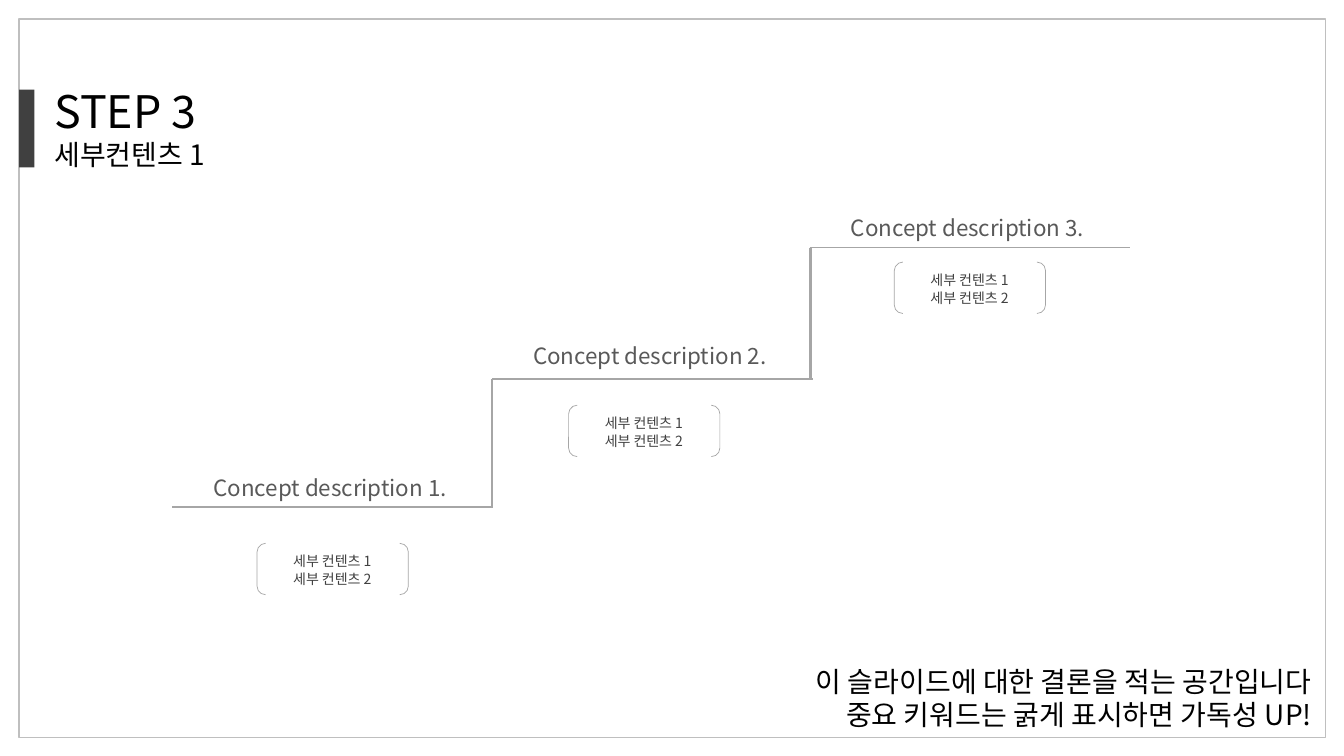
from dataclasses import dataclass

from lxml.etree import SubElement
from pptx import Presentation
from pptx.dml.color import RGBColor
from pptx.enum.shapes import MSO_CONNECTOR, MSO_SHAPE
from pptx.enum.text import MSO_AUTO_SIZE, PP_ALIGN
from pptx.oxml import parse_xml
from pptx.oxml.ns import nsdecls, qn
from pptx.slide import Slide
from pptx.util import Emu, Pt

EMU_PER_PX = 9144  # 100 px to the inch


@dataclass(frozen=True)
class Theme:
    font: str = "Noto Sans CJK KR"
    black: str = "000000"
    dark: str = "404040"
    label: str = "595959"
    stair: str = "A6A6A6"
    frame: str = "BFBFBF"
    title_size: int = 32
    subtitle_size: int = 20
    label_size: int = 16
    detail_size: int = 10


@dataclass(frozen=True)
class Box:
    left: int
    top: int
    width: int
    height: int

    def emu(self) -> tuple[Emu, ...]:
        return tuple(map(px, (self.left, self.top, self.width, self.height)))


@dataclass(frozen=True)
class Line:
    text: str
    size: int


@dataclass(frozen=True)
class Step:
    label: str
    label_left: int
    label_top: int
    tread_left: int
    tread_top: int
    bracket_left: int
    bracket_top: int


@dataclass(frozen=True)
class Riser:
    left: int
    top: int
    bottom: int


THEME = Theme()
TREAD_WIDTH = 318
DETAILS = ("세부 컨텐츠 1", "세부 컨텐츠 2")
STEPS = (
    Step("Concept description 1.", 112, 465, 171, 503, 255, 539),
    Step("Concept description 2.", 429, 335, 488, 376, 564, 402),
    Step("Concept description 3.", 744, 208, 803, 246, 887, 260),
)
RISERS = (Riser(488, 376, 503), Riser(804, 246, 377))


def px(length: int) -> Emu:
    return Emu(length * EMU_PER_PX)


def color(value: str) -> RGBColor:
    return RGBColor.from_string(value)


def add_text(slide: Slide, box: Box, lines: list[Line], *, ink: str,
             opacity: int, align: PP_ALIGN = PP_ALIGN.LEFT,
             wrap: bool = True) -> None:
    frame = slide.shapes.add_textbox(*box.emu()).text_frame
    frame.word_wrap = wrap
    frame.auto_size = MSO_AUTO_SIZE.SHAPE_TO_FIT_TEXT
    for index, line in enumerate(lines):
        paragraph = frame.add_paragraph() if index else frame.paragraphs[0]
        paragraph.alignment = align
        run = paragraph.add_run()
        run.text = line.text
        run.font.size = Pt(line.size)
        run.font.name = THEME.font
        run.font.color.rgb = color(ink)
        # East Asian typeface and translucent letter outline
        properties = run._r.get_or_add_rPr()
        SubElement(properties, qn("a:ea"), typeface=THEME.font)
        properties.insert(0, parse_xml(
            f'<a:ln {nsdecls("a")} w="9525"><a:solidFill><a:srgbClr val="{ink}">'
            f'<a:alpha val="{opacity * 1000}"/></a:srgbClr></a:solidFill></a:ln>'))


def add_box(slide: Slide, kind: MSO_SHAPE, box: Box, *, fill: str | None = None,
            line: str | None = None, weight: float = 1) -> None:
    shape = slide.shapes.add_shape(kind, *box.emu())
    shape.shadow.inherit = False
    if fill:
        shape.fill.solid()
        shape.fill.fore_color.rgb = color(fill)
    else:
        shape.fill.background()
    if line:
        shape.line.color.rgb = color(line)
        shape.line.width = Pt(weight)
    else:
        shape.line.fill.background()


def add_line(slide: Slide, start: tuple[int, int], end: tuple[int, int],
             weight: float) -> None:
    connector = slide.shapes.add_connector(
        MSO_CONNECTOR.STRAIGHT, *map(px, start + end))
    connector.line.color.rgb = color(THEME.stair)
    connector.line.width = Pt(weight)
    SubElement(connector._element.spPr, qn("a:effectLst"))


def add_step(slide: Slide, step: Step) -> None:
    add_text(slide, Box(step.label_left, step.label_top, 431, 37),
             [Line(step.label, THEME.label_size)],
             ink=THEME.label, opacity=30, align=PP_ALIGN.CENTER)
    add_line(slide, (step.tread_left, step.tread_top),
             (step.tread_left + TREAD_WIDTH, step.tread_top), 0.75)
    add_box(slide, MSO_SHAPE.DOUBLE_BRACKET,
            Box(step.bracket_left, step.bracket_top, 150, 51),
            line=THEME.stair, weight=0.5)
    for row, detail in enumerate(DETAILS):
        add_text(slide,
                 Box(step.bracket_left + 26, step.bracket_top + 4 + 18 * row, 106, 28),
                 [Line(detail, THEME.detail_size)],
                 ink=THEME.dark, opacity=30, wrap=False)


def main() -> None:
    presentation = Presentation()
    presentation.slide_width = px(1333)
    presentation.slide_height = px(750)
    slide = presentation.slides.add_slide(presentation.slide_layouts[6])

    # Frame and title
    add_box(slide, MSO_SHAPE.RECTANGLE, Box(19, 19, 1296, 713), line=THEME.frame)
    add_box(slide, MSO_SHAPE.RECTANGLE, Box(19, 89, 15, 77), fill=THEME.dark)
    add_text(slide, Box(44, 78, 531, 98),
             [Line("STEP 3", THEME.title_size),
              Line("세부컨텐츠 1", THEME.subtitle_size)],
             ink=THEME.black, opacity=50)

    # Conclusion
    add_text(slide, Box(780, 654, 531, 77),
             [Line("이 슬라이드에 대한 결론을 적는 공간입니다", THEME.subtitle_size),
              Line("중요 키워드는 굵게 표시하면 가독성 UP!", THEME.subtitle_size)],
             ink=THEME.black, opacity=50, align=PP_ALIGN.RIGHT)

    # Staircase
    for step in STEPS:
        add_step(slide, step)
    for riser in RISERS:
        add_line(slide, (riser.left, riser.top), (riser.left, riser.bottom), 2)

    presentation.save("out.pptx")


if __name__ == "__main__":
    main()
